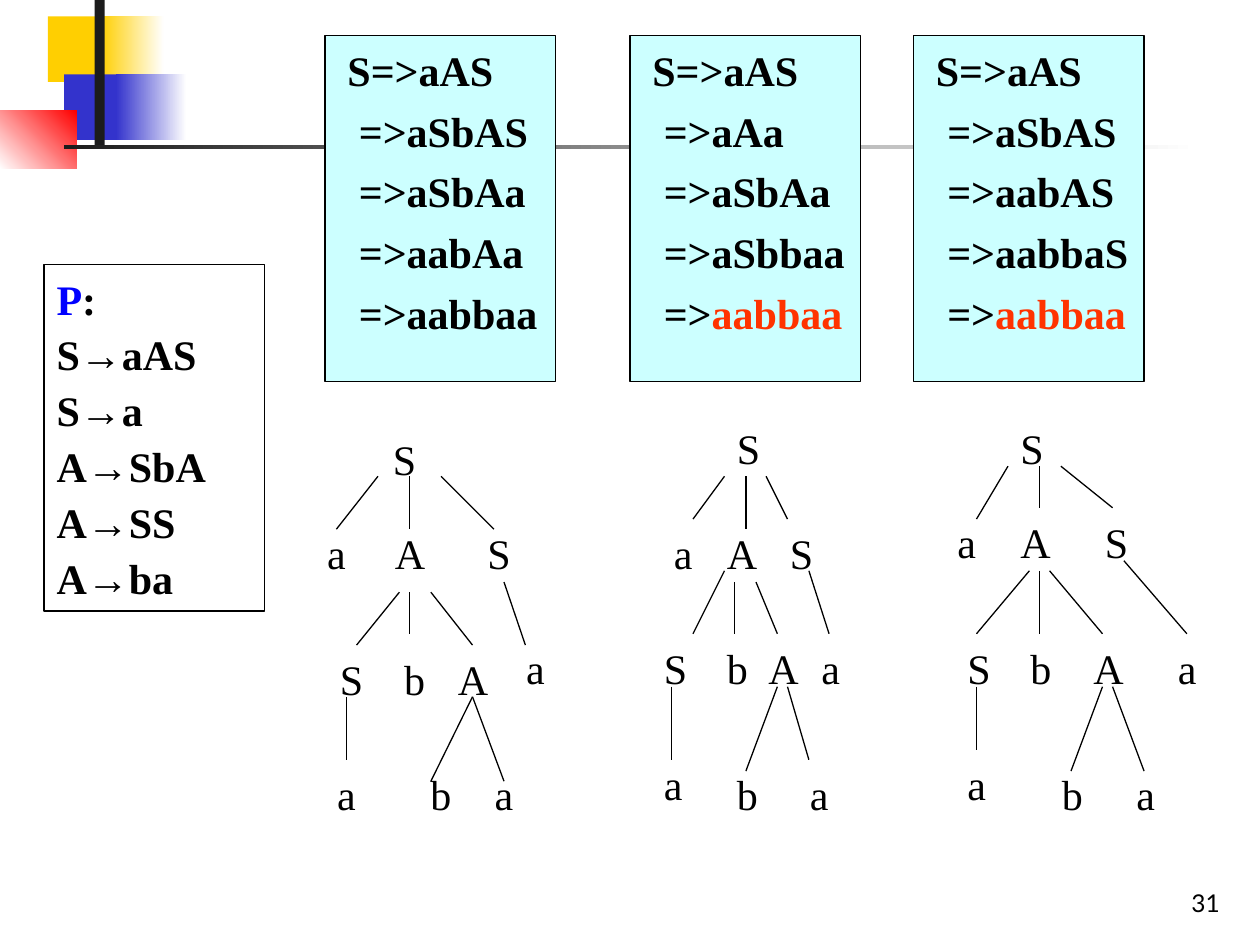
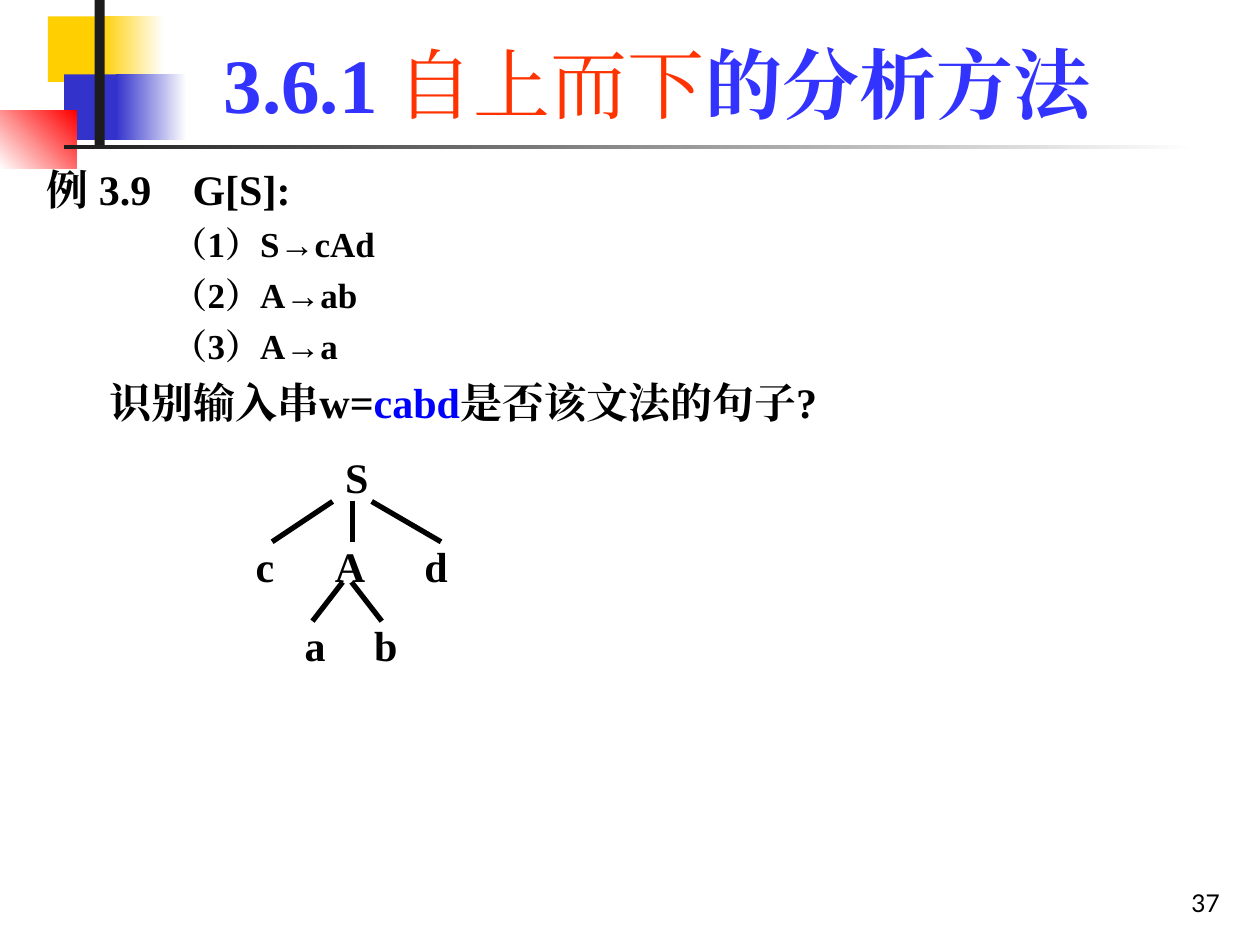
from pptx import Presentation
from pptx.dml.color import RGBColor
from pptx.enum.shapes import MSO_CONNECTOR, MSO_SHAPE
from pptx.enum.text import MSO_ANCHOR, PP_ALIGN
from pptx.oxml.ns import qn
from pptx.util import Inches, Pt
from lxml.etree import SubElement

rgb = RGBColor.from_string
SERIF, BLACK, WHITE = "Times New Roman", "000000", "FFFFFF"
BLUE, RED, TITLE_BLUE = "0000FF", "FF3300", "3333FF"
YELLOW, NAVY, DARK = "FFCF01", "3333CC", "1C1C1C"

# Corner decoration: left, top, width, height, colours, gradient angle
BANDS = [
    (0.38, 0.13, 0.67, 0.52, [YELLOW], 0),
    (0.8, 0.13, 0.5, 0.52, [YELLOW, WHITE], 0),
    (0.51, 0.59, 0.64, 0.52, [NAVY], 0),
    (0.92, 0.59, 0.56, 0.52, [NAVY, WHITE], 0),
    (0, 0.88, 0.61, 0.46, [WHITE, "FF0000"], 45),
    (0.75, 0, 0.08, 1.15, [DARK], 0),
    (0.51, 1.15, 9, 0.03, [DARK, WHITE], 0),
]


def add_text(s, box, paragraphs, size=24, bold=False, align=PP_ALIGN.LEFT,
             anchor=MSO_ANCHOR.TOP, font=SERIF, framed=False):
    """Each paragraph is a list of (text, colour) or (text, colour, bold) runs."""
    box = [Inches(v) for v in box]
    if framed:
        sp = s.shapes.add_shape(MSO_SHAPE.RECTANGLE, *box)
        sp.shadow.inherit = False
        sp.fill.background()
        sp.line.color.rgb = rgb(BLACK)
        sp.line.width = Pt(0.75)
    else:
        sp = s.shapes.add_textbox(*box)
    tf = sp.text_frame
    tf.word_wrap = True
    tf.vertical_anchor = anchor
    if anchor == MSO_ANCHOR.TOP:
        tf.margin_top = Inches(0.07)
    for i, runs in enumerate(paragraphs):
        p = tf.paragraphs[0] if i == 0 else tf.add_paragraph()
        p.alignment = align
        if i:
            p.space_before = Pt(size / 4)
        for text, color, *weight in runs:
            r = p.add_run()
            r.text = text
            r.font.size = Pt(size)
            r.font.bold = weight[0] if weight else bold
            r.font.color.rgb = rgb(color)
            r.font.name = font
            SubElement(r._r.get_or_add_rPr(), qn("a:ea"), typeface=font)
    return sp


prs = Presentation()
prs.slide_width, prs.slide_height = Inches(10), Inches(7.5)

# Shared decoration and slide numbers
for number in ("31", "37"):
    s = prs.slides.add_slide(prs.slide_layouts[6])
    for *box, colors, angle in BANDS:
        sp = s.shapes.add_shape(MSO_SHAPE.RECTANGLE, *[Inches(v) for v in box])
        sp.shadow.inherit = False
        sp.line.fill.background()
        if len(colors) == 1:
            sp.fill.solid()
            sp.fill.fore_color.rgb = rgb(colors[0])
        else:
            sp.fill.gradient()
            sp.fill.gradient_angle = angle
            for stop, color, position in zip(sp.fill.gradient_stops, colors, (0, 1)):
                stop.color.rgb = rgb(color)
                stop.position = position
    add_text(s, (7.7, 6.83, 2.08, 0.5), [[(number, BLACK)]], 14,
             align=PP_ALIGN.RIGHT, anchor=MSO_ANCHOR.BOTTOM, font="Lato")
derivation_slide, parsing_slide = prs.slides

# Three derivations of the same sentence
derivations = [
    (2.58, ["aAS", "aSbAS", "aSbAa", "aabAa", "aabbaa"], BLACK),
    (5, ["aAS", "aAa", "aSbAa", "aSbbaa", "aabbaa"], RED),
    (7.25, ["aAS", "aSbAS", "aabAS", "aabbaS", "aabbaa"], RED),
]
for left, steps, sentence_color in derivations:
    paragraphs = [[("S=>" + steps[0], BLACK)]]
    paragraphs += [[("=>" + step, BLACK)] for step in steps[1:-1]]
    paragraphs.append([("=>", BLACK), (steps[-1], sentence_color)])
    sp = add_text(derivation_slide, (left, 0.28, 1.83, 2.75), paragraphs,
                  bold=True, framed=True)
    sp.text_frame.margin_right = 0
    sp.fill.solid()
    sp.fill.fore_color.rgb = rgb("CCFFFF")
    for i, p in enumerate(sp.text_frame.paragraphs):
        p._p.get_or_add_pPr().set("marL", str(Inches(0.17 if i else 0.08)))

# Grammar productions
rules = ["S→aAS", "S→a", "A→SbA", "A→SS", "A→ba"]
sp = add_text(derivation_slide, (0.35, 2.1, 1.75, 2.75),
              [[("P", BLUE), (":", BLACK)]] + [[(rule, BLACK)] for rule in rules],
              bold=True, framed=True)
for p in sp.text_frame.paragraphs[1:]:
    p.line_spacing = 0.9

# Title and example
add_text(parsing_slide, (1.26, 0.23, 7.91, 0.84),
         [[("3.6.1 ", TITLE_BLUE), ("自上而下", RED, False), ("的分析方法", TITLE_BLUE)]],
         44, True, PP_ALIGN.CENTER, MSO_ANCHOR.BOTTOM)
sp = add_text(parsing_slide, (0.27, 1.23, 9.52, 2.2), [
    [("例 3.9\tG[S]:", BLACK)],
    [("（1）S→cAd", BLACK)],
    [("（2）A→ab", BLACK)],
    [("（3）A→a", BLACK)],
    [("识别输入串w=", BLACK), ("cabd", BLUE), ("是否该文法的句子?", BLACK)],
], bold=True)
example = sp.text_frame.paragraphs
for p, indent in zip(example, (0, 1, 1, 1, 0.5)):
    p._p.get_or_add_pPr().set("marL", str(Inches(indent)))
tabs = SubElement(example[0]._p.get_or_add_pPr(), qn("a:tabLst"))
SubElement(tabs, qn("a:tab"), pos=str(Inches(1.16)), algn="l")
for p in example[1:4]:
    p.space_before = Pt(5)
    for r in p.runs:
        r.font.size = Pt(20)

# Syntax trees: slide, alignment, bold, line width,
# node rows as top and (symbol, left, width), edges as x1, y1, x2, y2
trees = [
    (derivation_slide, PP_ALIGN.CENTER, False, 0.75, [
        (3.37, [("S", 2.92, 0.58)]),
        (4.12, [("a", 2.42, 0.5), ("A", 2.92, 0.67), ("S", 3.67, 0.58)]),
        (5.12, [("S", 2.5, 0.58), ("b", 3.08, 0.42), ("A", 3.42, 0.67)]),
        (5.03, [("a", 4, 0.5)]),
        (6.03, [("a", 2.5, 0.5), ("b", 3.25, 0.5), ("a", 3.75, 0.5)]),
    ], [
        (3, 3.78, 2.67, 4.2), (3.25, 3.78, 3.25, 4.2), (3.5, 3.78, 3.92, 4.2),
        (3.17, 4.7, 2.83, 5.12), (3.25, 4.7, 3.25, 5.03), (3.42, 4.7, 3.75, 5.12),
        (4, 4.62, 4.17, 5.12), (2.75, 5.53, 2.75, 6.03),
        (3.75, 5.53, 3.42, 6.2), (3.75, 5.53, 4, 6.2),
    ]),
    (derivation_slide, PP_ALIGN.LEFT, False, 0.75, [
        (3.28, [("S", 5.75, 0.42)]),
        (4.12, [("a", 5.25, 0.5), ("A", 5.67, 0.42), ("S", 6.17, 0.5)]),
        (5.03, [("S", 5.17, 0.42), ("b", 5.67, 0.5), ("A", 6, 0.42), ("a", 6.42, 0.5)]),
        (5.95, [("a", 5.17, 0.42)]),
        (6.03, [("b", 5.75, 0.33), ("a", 6.33, 0.42)]),
    ], [
        (5.75, 3.78, 5.5, 4.12), (5.92, 3.78, 5.92, 4.2), (6.08, 3.78, 6.25, 4.12),
        (5.75, 4.53, 5.5, 5.03), (5.83, 4.62, 5.83, 5.03), (6, 4.62, 6.17, 5.03),
        (6.42, 4.53, 6.58, 5.03), (5.33, 5.45, 5.33, 6.03),
        (6.17, 5.45, 5.92, 6.12), (6.25, 5.45, 6.42, 6.03),
    ]),
    (derivation_slide, PP_ALIGN.LEFT, False, 0.75, [
        (3.28, [("S", 8, 0.58)]),
        (4.03, [("a", 7.5, 0.42), ("A", 8, 0.5), ("S", 8.67, 0.42)]),
        (5.03, [("S", 7.58, 0.42), ("b", 8.08, 0.42), ("A", 8.58, 0.42), ("a", 9.25, 0.5)]),
        (5.95, [("a", 7.58, 0.42)]),
        (6.03, [("b", 8.33, 0.33), ("a", 8.92, 0.58)]),
    ], [
        (8, 3.7, 7.75, 4.12), (8.25, 3.7, 8.25, 4.03), (8.42, 3.7, 8.83, 4.03),
        (8.17, 4.53, 7.75, 5.03), (8.25, 4.53, 8.25, 5.03), (8.33, 4.53, 8.75, 5.03),
        (8.92, 4.45, 9.42, 5.03), (7.75, 5.45, 7.75, 5.95),
        (8.75, 5.45, 8.5, 6.12), (8.83, 5.45, 9.08, 6.12),
    ]),
    (parsing_slide, PP_ALIGN.LEFT, True, 3, [
        (3.51, [("S", 2.64, 0.39)]),
        (4.22, [("c", 1.93, 0.32), ("A", 2.56, 0.47), ("d", 3.27, 0.47)]),
        (4.85, [("a", 2.32, 0.39), ("b", 2.87, 0.39)]),
    ], [
        (2.64, 3.98, 2.16, 4.3), (2.8, 3.98, 2.8, 4.3), (2.95, 3.98, 3.5, 4.3),
        (2.72, 4.62, 2.48, 4.93), (2.79, 4.62, 3.03, 4.93),
    ]),
]
for s, align, bold, width, rows, edges in trees:
    for top, nodes in rows:
        for symbol, left, node_width in nodes:
            add_text(s, (left, top, node_width, 0.5), [[(symbol, BLACK)]],
                     bold=bold, align=align)
    for edge in edges:
        line = s.shapes.add_connector(MSO_CONNECTOR.STRAIGHT, *[Inches(v) for v in edge])
        line.line.color.rgb = rgb(BLACK)
        line.line.width = Pt(width)
        SubElement(line._element.spPr, qn("a:effectLst"))

prs.save("out.pptx")
